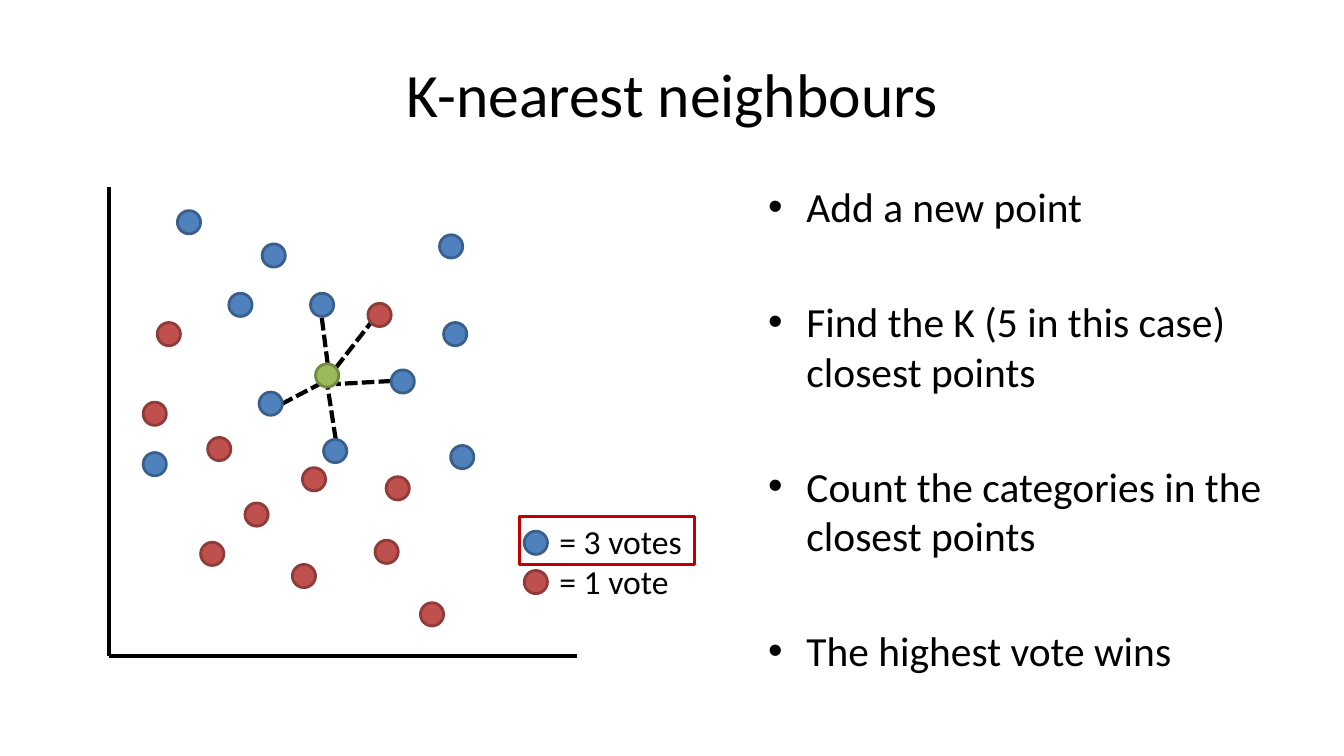
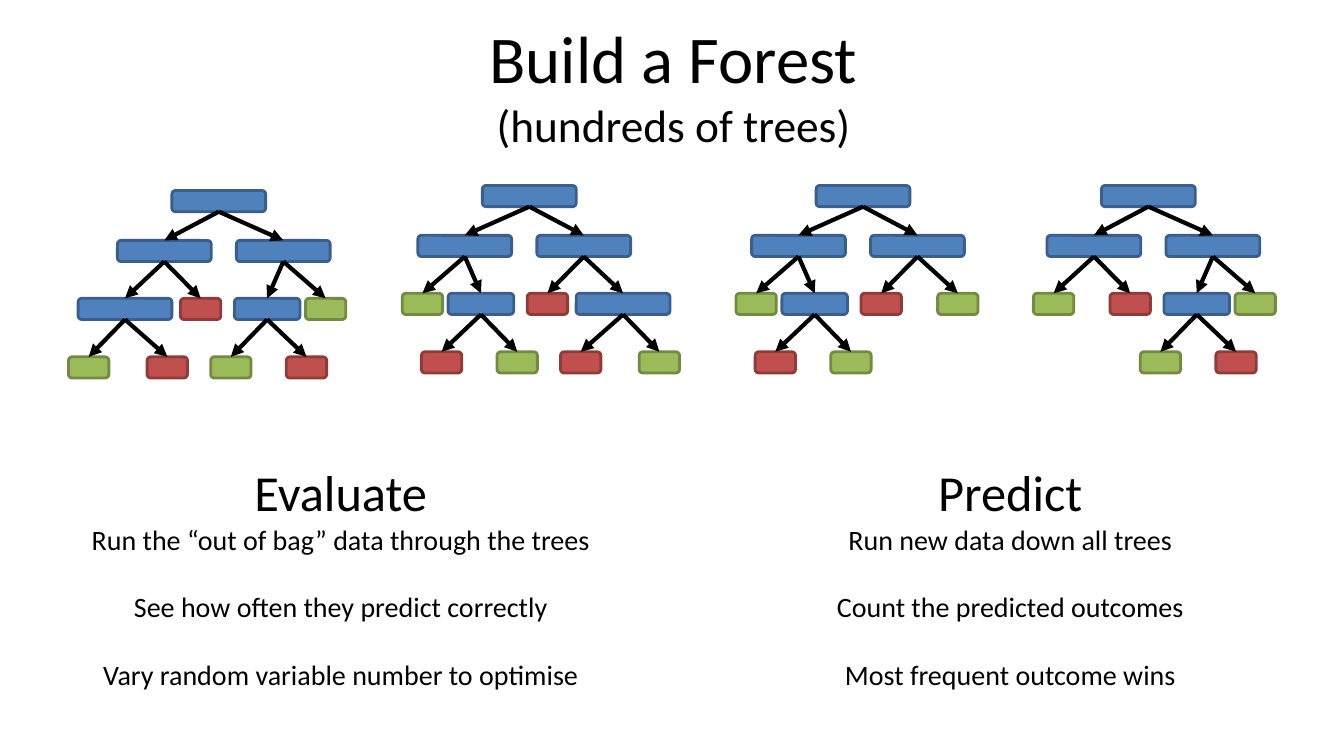
from lxml import etree
from pptx import Presentation
from pptx import util as u
from pptx.dml.color import RGBColor
from pptx.enum import dml, shapes, text
from pptx.oxml.ns import qn

FONT = "Calibri"
BLACK = RGBColor(0x00, 0x00, 0x00)
HIGHLIGHT = RGBColor(0xC0, 0x00, 0x00)
BLUE = (RGBColor(0x4F, 0x81, 0xBD), RGBColor(0x3A, 0x5F, 0x8C))
RED = (RGBColor(0xC0, 0x50, 0x4D), RGBColor(0x8E, 0x3B, 0x39))
GREEN = (RGBColor(0x9B, 0xBB, 0x59), RGBColor(0x73, 0x8A, 0x42))
FRAME = (None, HIGHLIGHT)
OVAL = shapes.MSO_SHAPE.OVAL
ROUNDED = shapes.MSO_SHAPE.ROUNDED_RECTANGLE
CENTER, LEFT = text.PP_ALIGN.CENTER, text.PP_ALIGN.LEFT
MIDDLE, TOP = text.MSO_ANCHOR.MIDDLE, text.MSO_ANCHOR.TOP

deck = Presentation()
deck.slide_width, deck.slide_height = u.Inches(13.33), u.Inches(7.5)
CELL = deck.slide_height / 75
neighbours, forest = [deck.slides.add_slide(deck.slide_layouts[6]) for _ in range(2)]


def add_outlined(slide, preset, box, colours):
    fill, outline = colours
    shape = slide.shapes.add_shape(preset, *(round(v * CELL) for v in box))
    shape.shadow.inherit = False
    if fill is None:
        shape.fill.background()
    else:
        shape.fill.solid()
        shape.fill.fore_color.rgb = fill
    shape.line.color.rgb = outline
    shape.line.width = u.Pt(2)


def add_stroke(slide, start, end, dash=None, arrow=False):
    stroke = slide.shapes.add_connector(
        shapes.MSO_CONNECTOR.STRAIGHT, *(round(v * CELL) for v in (*start, *end)))
    stroke.line.color.rgb = BLACK
    stroke.line.width = u.Pt(3)
    if dash:
        stroke.line.dash_style = dash
    properties = stroke._element.spPr
    if arrow:
        etree.SubElement(properties.find(qn("a:ln")), qn("a:tailEnd"), type="triangle")
    etree.SubElement(properties, qn("a:effectLst"))


distances = [
    ((32.5, 36.1), (31.9, 31.4)),
    ((33.3, 36.5), (36.8, 32)),
    ((27.9, 40.1), (31.7, 38.1)),
    ((38.8, 37.8), (33.3, 38.1)),
    ((33.3, 43.6), (32.5, 38.4)),
]
for start, end in distances:
    add_stroke(neighbours, start, end, dash=dml.MSO_LINE.SQUARE_DOT)

origin = (10.8, 65.1)
for axis_end in [(10.8, 18.6), (57.2, 65.1)]:
    add_stroke(neighbours, axis_end, origin)

DOT = 2.3
points = [
    (BLUE, [(17.6, 20.9), (22.7, 29.1), (14.2, 44.9), (26, 24.2), (30.8, 29.1), (43.6, 23.3),
            (25.7, 38.9), (32.1, 43.6), (44, 32), (38.8, 36.7), (44.7, 44.2)]),
    (RED, [(15.6, 32), (36.5, 30.1), (14.2, 39.9), (24.3, 49.9), (19.9, 53.8), (20.6, 43.4),
           (30, 46.4), (29, 56), (38.3, 47.3), (37.2, 53.6), (41.7, 59.8)]),
    (GREEN, [(31.3, 36.1)]),
    (BLUE, [(52, 52.7)]),
    (RED, [(52, 56.6)]),
]
for category, places in points:
    for place in places:
        add_outlined(neighbours, OVAL, (*place, DOT, DOT), category)
add_outlined(neighbours, shapes.MSO_SHAPE.RECTANGLE, (51.5, 51.2, 17.4, 4.8), FRAME)

NODE_HEIGHT = 2.1
LEVELS = [0, 4.95, 10.7, 16.5]
WIDE, MEDIUM, LEAF = 9.3, 6.5, 4
shared_nodes = {
    "root": (None, 0, 0, WIDE, BLUE),
    "near": ("root", 1, -5.4, WIDE, BLUE),
    "far": ("root", 1, 6.4, WIDE, BLUE),
    "near inner": ("near", 2, -1.8, LEAF, RED),
    "far inner": ("far", 2, 4.8, MEDIUM, BLUE),
    "far outer": ("far", 2, 10.6, LEAF, GREEN),
    "far inner left": ("far inner", 3, 1.2, LEAF, GREEN),
    "far inner right": ("far inner", 3, 8.7, LEAF, RED),
}
full_tree = shared_nodes | {
    "near outer": ("near", 2, -9.3, WIDE, BLUE),
    "near outer left": ("near outer", 3, -12.9, LEAF, GREEN),
    "near outer right": ("near outer", 3, -5.1, LEAF, RED),
}
pruned_tree = shared_nodes | {"near outer": ("near", 2, -9.4, LEAF, GREEN)}

trees = [
    (21.7, 18.9, 1, full_tree),
    (52.5, 18.4, -1, full_tree),
    (85.6, 18.4, -1, pruned_tree),
    (113.9, 18.4, 1, pruned_tree),
]
for root_x, root_y, direction, nodes in trees:
    for parent, level, offset, width, colours in nodes.values():
        x, y = root_x + direction * offset, root_y + LEVELS[level]
        add_outlined(forest, ROUNDED, (x - width / 2, y, width, NODE_HEIGHT), colours)
    for parent, level, offset, width, colours in nodes.values():
        if parent:
            parent_level, parent_offset = nodes[parent][1:3]
            start = (root_x + direction * parent_offset,
                     root_y + LEVELS[parent_level] + NODE_HEIGHT)
            end = (root_x + direction * offset, root_y + LEVELS[level])
            add_stroke(forest, start, end, arrow=True)

TITLE = {"anchor": MIDDLE, "align": CENTER, "bullet": False}
BULLETS = {"anchor": TOP, "align": LEFT, "bullet": True}
VOTES = {"anchor": TOP, "align": LEFT, "bullet": False}
STEPS = {"anchor": TOP, "align": CENTER, "bullet": False}
passages = [
    (neighbours, (6.7, 3, 120, 12.5), TITLE, [("K-nearest neighbours", 44, 0)]),
    (neighbours, (75.2, 17.5, 51.5, 49.5), BULLETS, [
        ("Add a new point", 29.6, 0),
        ("Find the K (5 in this case) closest points", 29.6, 46.5),
        ("Count the categories in the closest points", 29.6, 46.5),
        ("The highest vote wins", 29.6, 46.5)]),
    (neighbours, (54.5, 51.2, 16, 9.1), VOTES, [("= 3 votes", 24, 0), ("= 1 vote", 24, 0)]),
    (forest, (6.8, 2.1, 120, 12.5), TITLE, [
        ("Build a Forest", 47.7, 0), ("(hundreds of trees)", 32.4, 0)]),
    (forest, (3.8, 45.3, 60, 23.9), STEPS, [
        ("Evaluate", 36, 0),
        ("Run the “out of bag” data through the trees", 20, 0),
        ("See how often they predict correctly", 20, 24.4),
        ("Vary random variable number to optimise", 20, 24.4)]),
    (forest, (70.2, 45.3, 60, 23.9), STEPS, [
        ("Predict", 36, 0),
        ("Run new data down all trees", 20, 0),
        ("Count the predicted outcomes", 20, 24.4),
        ("Most frequent outcome wins", 20, 24.4)]),
]
for slide, box, style, lines in passages:
    frame = slide.shapes.add_textbox(*(round(v * CELL) for v in box)).text_frame
    frame.word_wrap = True
    frame.vertical_anchor = style["anchor"]
    for index, (wording, size, gap) in enumerate(lines):
        paragraph = frame.add_paragraph() if index else frame.paragraphs[0]
        paragraph.text = wording
        if style["bullet"]:
            properties = paragraph._p.get_or_add_pPr()
            indent = u.Inches(0.38)
            properties.set("marL", str(indent))
            properties.set("indent", str(-indent))
            etree.SubElement(properties, qn("a:buFont"), typeface="Arial")
            etree.SubElement(properties, qn("a:buChar"), char="•")
        paragraph.alignment = style["align"]
        paragraph.space_before = u.Pt(gap)
        for attribute, value in {"name": FONT, "size": u.Pt(size)}.items():
            setattr(paragraph.font, attribute, value)
        paragraph.font.color.rgb = BLACK

deck.save("out.pptx")
